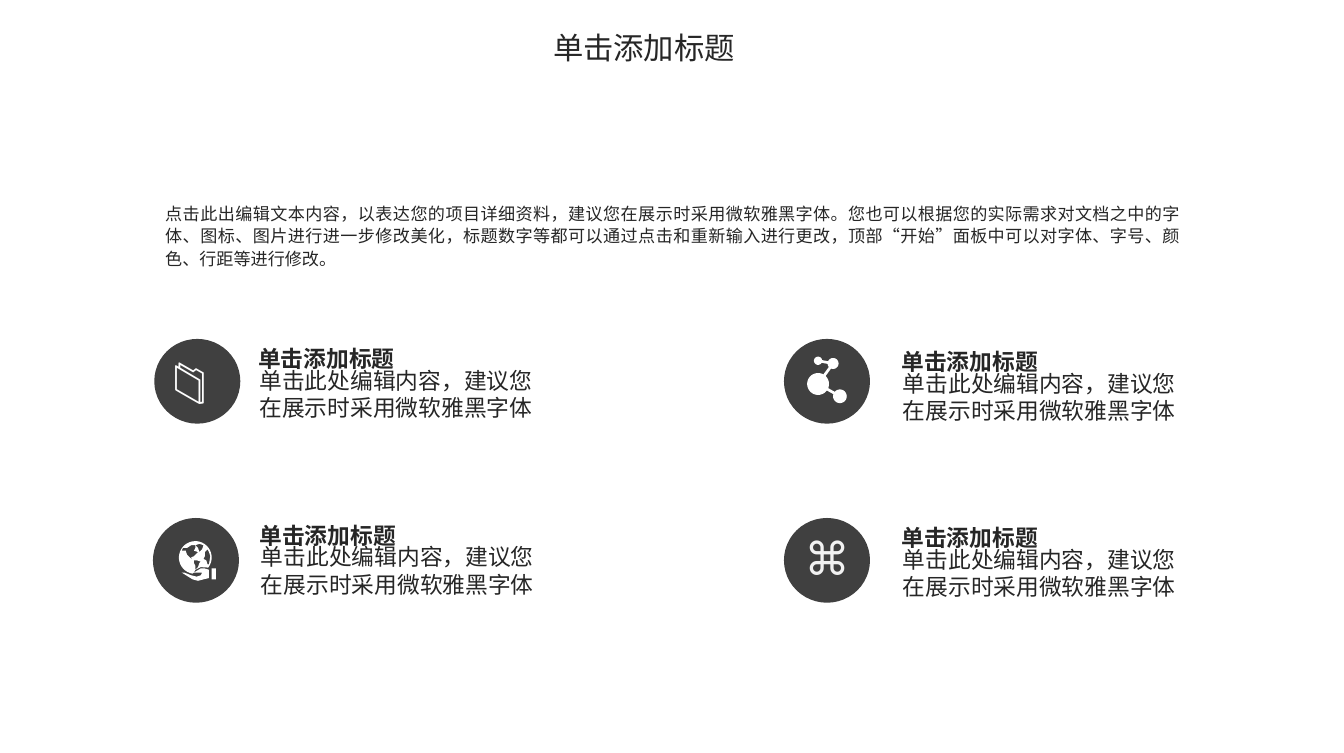
from dataclasses import dataclass
from math import asin, atan2, cos, pi, radians, sin

from lxml.etree import SubElement
from pptx import Presentation
from pptx.dml.color import RGBColor
from pptx.enum.shapes import MSO_SHAPE
from pptx.enum.text import MSO_ANCHOR, PP_ALIGN
from pptx.oxml.ns import qn
from pptx.util import Inches, Pt


@dataclass(frozen=True)
class Theme:
    ink: str = "262626"
    badge: str = "404040"
    white: str = "FFFFFF"
    pale: str = "F2F2F2"
    cjk: str = "Noto Sans CJK SC"
    latin: str = "Lato"
    symbol: str = "Arial"
    title: int = 16
    card: int = 12
    intro: int = 9
    icon: int = 24


THEME = Theme()
TITLE = "单击添加标题"
INTRO = (
    "点击此出编辑文本内容，以表达您的项目详细资料，建议您在展示时采用微软雅黑字体。"
    "您也可以根据您的实际需求对文档之中的字体、图标、图片进行进一步修改美化，"
    "标题数字等都可以通过点击和重新输入进行更改，"
    "顶部“开始”面板中可以对字体、字号、颜色、行距等进行修改。"
)
CARD_BODY = "单击此处编辑内容，建议您在展示时采用微软雅黑字体"
BADGES = [(1.13, 2.48), (1.12, 3.79), (5.74, 2.48), (5.74, 3.79)]
HEADINGS = [(1.82, 2.51), (1.83, 3.8), (6.53, 2.53), (6.53, 3.82)]

AMERICAS = [
    (1.43, 3.99), (1.4, 3.99), (1.37, 4.01), (1.34, 4.01), (1.33, 4.03), (1.36, 4.03),
    (1.37, 4.06), (1.39, 4.08), (1.42, 4.1), (1.42, 4.12), (1.43, 4.14), (1.43, 4.17),
    (1.45, 4.15), (1.46, 4.12), (1.47, 4.11), (1.44, 4.1), (1.42, 4.1), (1.4, 4.08),
    (1.42, 4.07), (1.44, 4.05), (1.45, 4.04), (1.42, 4.03), (1.43, 4.01),
]
GREENLAND = [(1.43, 3.99), (1.45, 4.01), (1.46, 4.04), (1.48, 4.02), (1.49, 3.99), (1.46, 3.98)]
AFRICA = [
    (1.5, 4.07), (1.49, 4.09), (1.51, 4.1), (1.52, 4.13), (1.53, 4.13),
    (1.54, 4.07), (1.53, 4.04), (1.52, 4.02), (1.5, 4.04),
]
HAND = [
    (1.53, 4.17), (1.53, 4.23), (1.49, 4.24), (1.45, 4.25), (1.41, 4.24), (1.33, 4.19),
    (1.35, 4.19), (1.4, 4.21), (1.44, 4.22), (1.47, 4.21), (1.48, 4.19), (1.42, 4.19),
    (1.47, 4.16), (1.5, 4.16),
]
CUFF = [(1.55, 4.16), (1.58, 4.16), (1.58, 4.24), (1.55, 4.24)]
GLOBE_EDGE = [(1.47, 4.15), (1.43, 4.17), (1.42, 4.19)]
ATOMS = [(5.99, 2.64, 0.03), (6.1, 2.66, 0.04), (5.99, 2.81, 0.08), (6.15, 2.9, 0.05)]
HALF_BOND = 0.01


def write(tf, text, *, size, font, color=THEME.ink, bold=False, align=PP_ALIGN.LEFT,
          anchor=MSO_ANCHOR.TOP, spacing=1.0, insets=(0.07, 0.04, 0.07, 0.04), wrap=True):
    tf.word_wrap = wrap
    tf.vertical_anchor = anchor
    tf.margin_left, tf.margin_top, tf.margin_right, tf.margin_bottom = map(Inches, insets)
    p = tf.paragraphs[0]
    p.alignment = align
    p.line_spacing = spacing
    p._p.get_or_add_pPr().set("hangingPunct", "0")
    r = p.add_run()
    r.text = text
    r.font.size = Pt(size)
    r.font.bold = bold
    r.font.name = font
    r.font.color.rgb = RGBColor.from_string(color)
    SubElement(r.font._element, qn("a:ea")).set("typeface", font)


def add_text(s, box, text, **style):
    sp = s.shapes.add_textbox(*map(Inches, box))
    write(sp.text_frame, text, **style)


def paint(sp, color):
    sp.shadow.inherit = False
    sp.fill.solid()
    sp.fill.fore_color.rgb = RGBColor.from_string(color)
    sp.line.fill.background()


def add_badge(s, left, top):
    sp = s.shapes.add_shape(MSO_SHAPE.OVAL, *map(Inches, (left, top, 0.63, 0.62)))
    paint(sp, THEME.badge)


def add_outline(s, contours, color):
    scaled = [[(Inches(x), Inches(y)) for x, y in contour] for contour in contours]
    builder = s.shapes.build_freeform(*scaled[0][0])
    for i, (start, *rest) in enumerate(scaled):
        if i:
            builder.move_to(*start)
        builder.add_line_segments(rest, close=True)
    paint(builder.convert_to_shape(), color)


def arc(x, y, radius, start, end, steps=32):
    angles = [start + (end - start) * i / steps for i in range(steps + 1)]
    return [(x + radius * cos(a), y + radius * sin(a)) for a in angles]


def add_globe(s):
    globe = arc(1.43, 4.08, 0.12, radians(100), radians(398)) + GLOBE_EDGE
    add_outline(s, [globe, AMERICAS, GREENLAND, AFRICA, HAND, CUFF], THEME.white)


def add_molecule(s):
    walk = ATOMS + ATOMS[-2:0:-1]
    outline = []
    for i, (x, y, radius) in enumerate(walk):
        before, after = walk[i - 1], walk[(i + 1) % len(walk)]
        gap = asin(HALF_BOND / radius)
        start = atan2(before[1] - y, before[0] - x) + gap
        end = atan2(after[1] - y, after[0] - x) - gap
        outline += arc(x, y, radius, start, start + (end - start) % (2 * pi))
    add_outline(s, [outline], THEME.white)


def add_symbol(s, left, top, symbol, color):
    add_text(s, (left, top, 0.49, 0.48), symbol, size=THEME.icon, font=THEME.symbol,
             color=color, wrap=False)


def add_card(s, left, top):
    add_text(s, (left + 0.08, top + 0.16, 2.09, 0.43), CARD_BODY, size=THEME.card,
             font=THEME.latin, anchor=MSO_ANCHOR.MIDDLE, insets=(0, 0.04, 0.07, 0.04))
    add_text(s, (left, top, 1.71, 0.23), TITLE, size=THEME.card, font=THEME.cjk,
             bold=True, anchor=MSO_ANCHOR.MIDDLE)


def add_title(s):
    sp = s.shapes.title
    sp.left, sp.top, sp.width, sp.height = map(Inches, (3.95, 0.16, 3.25, 0.37))
    write(sp.text_frame, TITLE, size=THEME.title, font=THEME.cjk,
          insets=(0.1, 0.05, 0.1, 0.05))


def main():
    prs = Presentation()
    prs.slide_width, prs.slide_height = Inches(9.84), Inches(5.51)
    s = prs.slides.add_slide(prs.slide_layouts[5])
    add_title(s)
    add_text(s, (1.14, 1.43, 7.56, 0.57), INTRO, size=THEME.intro, font=THEME.cjk,
             align=PP_ALIGN.JUSTIFY, spacing=1.1)
    for left, top in BADGES:
        add_badge(s, left, top)
    add_symbol(s, 1.2, 2.53, "📁", THEME.white)
    add_symbol(s, 5.82, 3.84, "⌘", THEME.pale)
    add_globe(s)
    add_molecule(s)
    for left, top in HEADINGS:
        add_card(s, left, top)
    prs.save("out.pptx")


if __name__ == "__main__":
    main()
